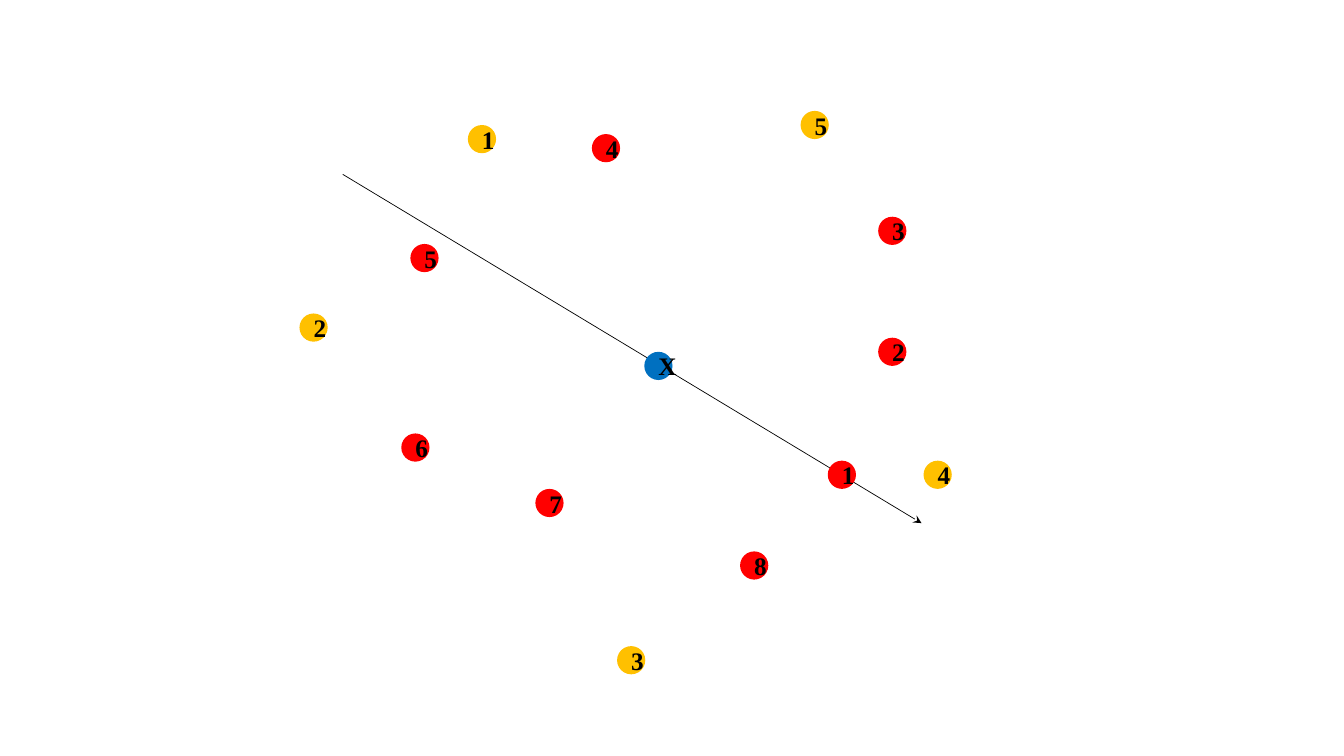
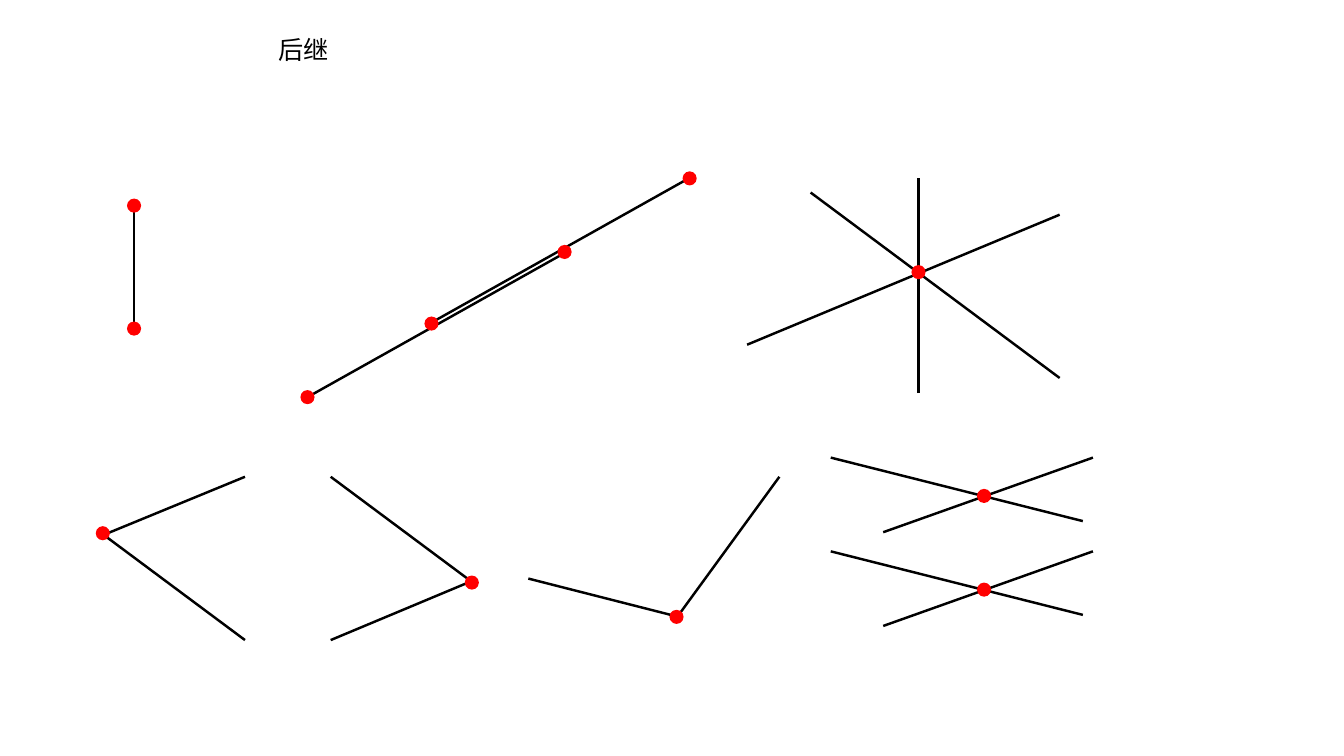
from lxml import etree
from pptx import Presentation
from pptx import util as u
from pptx.dml.color import RGBColor
from pptx.enum import shapes, text
from pptx.oxml.ns import qn

COLORS = {"ink": "000000", "red": "FF0000", "blue": "0070C0", "gold": "FFC000"}
LATIN, CHINESE = "Times New Roman", "Noto Sans CJK SC"
TEXT_SIZE = 18
NODE_SIZE, DOT_SIZE = 0.28, 0.14
THIN, THICK = 0.5, 1.75

# Slide 1: sweep line and numbered nodes (label, left, top)
SWEEP = ((3.4, 1.73), (9.14, 5.19))
NODES = {
    "red": [("1", 8.21, 4.57), ("2", 8.71, 3.35), ("3", 8.71, 2.15), ("4", 5.87, 1.33),
            ("5", 4.07, 2.42), ("6", 3.98, 4.3), ("7", 5.31, 4.85), ("8", 7.34, 5.47)],
    "blue": [("X", 6.39, 3.49)],
    "gold": [("1", 4.64, 1.24), ("2", 2.97, 3.11), ("3", 6.12, 6.41),
             ("4", 9.16, 4.57), ("5", 7.94, 1.1)],
}

# Slide 2: figures made of segments (start, end) and dots (left, top)
HEADING = ("后继", 2.66, 0.29, 0.74, 0.4)
FIGURES = {
    "vertical": {"segments": [((1.33, 3.24), (1.33, 2.05))],
                 "dots": [(1.26, 1.97), (1.26, 3.19)]},
    "overlap": {"segments": [((3.05, 3.94), (5.6, 2.51)), ((4.28, 3.2), (6.83, 1.77))],
                "dots": [(6.77, 1.7), (4.21, 3.14), (5.53, 2.43), (2.98, 3.87)]},
    "star": {"segments": [((10.51, 3.75), (8.04, 1.91)), ((10.51, 2.13), (7.41, 3.42)),
                          ((9.11, 3.9), (9.11, 1.77))],
             "dots": [(9.04, 2.63)]},
    "left corner": {"segments": [((2.43, 6.35), (1.02, 5.3)), ((2.43, 4.73), (1.02, 5.31))],
                    "dots": [(0.95, 5.22)]},
    "right corner": {"segments": [((3.28, 4.73), (4.69, 5.78)), ((3.28, 6.35), (4.69, 5.76))],
                     "dots": [(4.61, 5.71)]},
    "bottom corner": {"segments": [((7.73, 4.73), (6.71, 6.13)), ((5.24, 5.74), (6.73, 6.12))],
                      "dots": [(6.64, 6.05)]},
    "crossing": {"segments": [((10.84, 4.54), (8.76, 5.28)), ((8.24, 4.54), (10.74, 5.17))],
                 "dots": [(9.69, 4.85)]},
}
SHIFTS = {"crossing": (0, 0.93)}  # vertical offsets of repeated figures


def color(name):
    return RGBColor.from_string(COLORS[name])


def add_line(page, start, end, width, arrow=False):
    line = page.shapes.add_connector(
        shapes.MSO_CONNECTOR.STRAIGHT, *(u.Inches(value) for value in start + end))
    line.line.color.rgb = color("ink")
    line.line.width = u.Pt(width)
    if arrow:
        etree.SubElement(line.line._get_or_add_ln(), qn("a:tailEnd"), type="stealth")
    etree.SubElement(line._element.spPr, qn("a:effectLst"))


def add_circle(page, left, top, size, fill):
    circle = page.shapes.add_shape(
        shapes.MSO_SHAPE.OVAL, *(u.Inches(value) for value in (left, top, size, size)))
    circle.shadow.inherit = False
    circle.fill.solid()
    circle.fill.fore_color.rgb = color(fill)
    circle.line.fill.background()
    return circle


def add_text(para, words, font, bold=False):
    span = para.add_run()
    span.text = words
    span.font.name = font
    span.font.size = u.Pt(TEXT_SIZE)
    span.font.bold = bold
    span.font.color.rgb = color("ink")
    etree.SubElement(span._r.get_or_add_rPr(), qn("a:ea"), typeface=font)


def build_sweep(page):
    add_line(page, *SWEEP, THIN, arrow=True)
    for fill, nodes in NODES.items():
        for label, left, top in nodes:
            frame = add_circle(page, left, top, NODE_SIZE, fill).text_frame
            frame.vertical_anchor = text.MSO_ANCHOR.MIDDLE
            para = frame.paragraphs[0]
            para.alignment = text.PP_ALIGN.CENTER
            add_text(para, label, LATIN, bold=True)


def build_cases(page):
    words, *place = HEADING
    box = page.shapes.add_textbox(*(u.Inches(value) for value in place))
    add_text(box.text_frame.paragraphs[0], words, CHINESE)
    for name, figure in FIGURES.items():
        for shift in SHIFTS.get(name, (0,)):
            for (x1, y1), (x2, y2) in figure["segments"]:
                add_line(page, (x1, y1 + shift), (x2, y2 + shift), THICK)
            for left, top in figure["dots"]:
                add_circle(page, left, top + shift, DOT_SIZE, "red")


def main():
    deck = Presentation()
    deck.slide_width, deck.slide_height = u.Inches(13.33), u.Inches(7.5)
    for build in (build_sweep, build_cases):
        build(deck.slides.add_slide(deck.slide_layouts[6]))
    deck.save("out.pptx")


if __name__ == "__main__":
    main()
